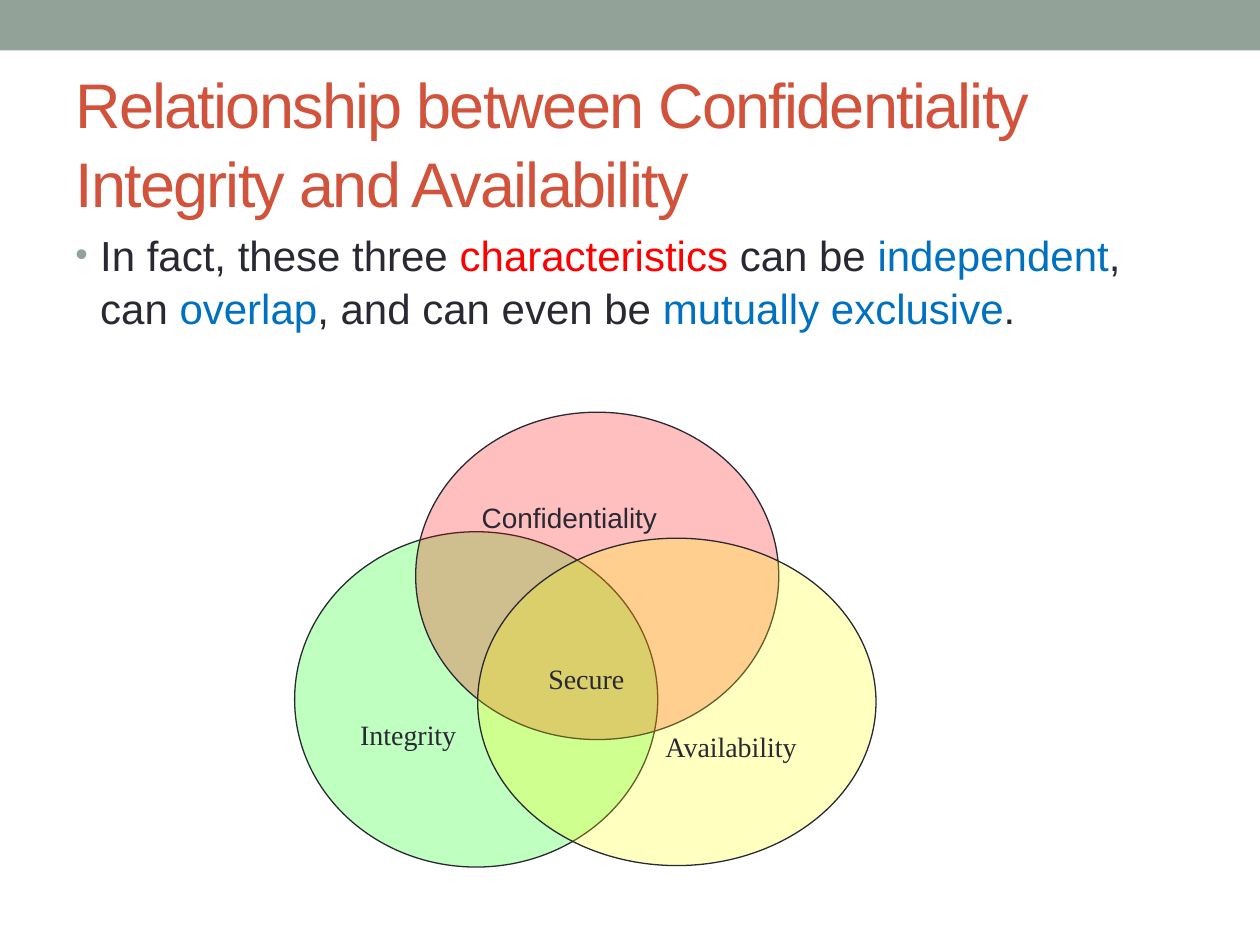
from dataclasses import dataclass

from lxml.etree import SubElement
from pptx import Presentation
from pptx.dml.color import RGBColor
from pptx.enum.shapes import MSO_SHAPE
from pptx.enum.text import MSO_ANCHOR, PP_ALIGN
from pptx.oxml.ns import qn
from pptx.util import Cm, Pt


@dataclass(frozen=True)
class Theme:
    ink: str = "292934"
    accent: str = "D2533C"
    band: str = "93A299"
    red: str = "FF0000"
    blue: str = "0070C0"
    sans: str = "Arial"
    serif: str = "Times New Roman"
    title_size: int = 36
    body_size: int = 24
    label_size: int = 16
    line_spacing: float = 1.05
    circle_opacity: int = 25


THEME = Theme()

TITLE = "Relationship between Confidentiality Integrity and Availability"
STATEMENT = [
    ("In fact, these three ", THEME.ink),
    ("characteristics", THEME.red),
    (" can be ", THEME.ink),
    ("independent", THEME.blue),
    (", can ", THEME.ink),
    ("overlap", THEME.blue),
    (", and can even be ", THEME.ink),
    ("mutually exclusive", THEME.blue),
    (".", THEME.ink),
]
# Left, top, width, height in cm, then colour; back to front
CIRCLES = [
    ((5.94, 10.72, 7.32, 6.76), "00FF00"),
    ((8.38, 8.31, 7.32, 6.6), "FF0000"),
    ((9.63, 10.85, 8.03, 6.6), "FFFF00"),
]
# Wording, centre x and y in cm, font
LABELS = [
    ("Integrity", 8.23, 14.8, THEME.serif),
    ("Confidentiality", 11.48, 10.43, THEME.sans),
    ("Secure", 11.82, 13.67, THEME.serif),
    ("Availability", 14.74, 15.05, THEME.serif),
]
LABEL_WIDTH, LABEL_HEIGHT = 4.5, 1


def rgb(value):
    return RGBColor.from_string(value)


def style(paragraph, font, size, color=THEME.ink):
    paragraph.font.name = font
    paragraph.font.size = Pt(size)
    paragraph.font.color.rgb = rgb(color)


def add_shape(slide, kind, box, color):
    shape = slide.shapes.add_shape(kind, *map(Cm, box))
    shape.shadow.inherit = False
    shape.fill.solid()
    shape.fill.fore_color.rgb = rgb(color)
    shape.line.fill.background()
    return shape


def add_text(slide, box, anchor=MSO_ANCHOR.TOP):
    """Add a wrapping text box and return its first paragraph."""
    frame = slide.shapes.add_textbox(*map(Cm, box)).text_frame
    frame.word_wrap = True
    frame.vertical_anchor = anchor
    return frame.paragraphs[0]


def add_title(slide):
    title = add_text(slide, (1.27, 1.47, 22.86, 2.74), MSO_ANCHOR.MIDDLE)
    title.line_spacing = THEME.line_spacing
    style(title, THEME.sans, THEME.title_size, THEME.accent)
    run = title.add_run()
    run.text = TITLE
    run._r.get_or_add_rPr().set("spc", "-100")


def add_bullet(paragraph, indent):
    properties = paragraph._p.get_or_add_pPr()
    properties.set("marL", str(Cm(indent)))
    properties.set("indent", str(-Cm(indent)))
    bullet_parts = [
        SubElement(properties, qn("a:buClr")),
        SubElement(properties, qn("a:buSzPct")),
        SubElement(properties, qn("a:buFont")),
        SubElement(properties, qn("a:buChar")),
    ]
    color, size, font, char = bullet_parts
    SubElement(color, qn("a:srgbClr")).set("val", THEME.band)
    size.set("val", "85000")
    font.set("typeface", THEME.sans)
    char.set("char", "•")
    # The schema wants the default run properties after the bullet
    for defaults in properties.findall(qn("a:defRPr")):
        properties.append(defaults)


def add_statement(slide):
    statement = add_text(slide, (1.27, 4.45, 22.45, 2.44))
    statement.line_spacing = THEME.line_spacing
    style(statement, THEME.sans, THEME.body_size)
    add_bullet(statement, 0.5)
    for words, color in STATEMENT:
        run = statement.add_run()
        run.text = words
        run.font.color.rgb = rgb(color)


def add_venn(slide):
    for box, color in CIRCLES:
        circle = add_shape(slide, MSO_SHAPE.OVAL, box, color)
        circle.line.color.rgb = rgb(THEME.ink)
        circle.line.width = Pt(0.75)
        fill_color = circle.fill._xPr.find(qn("a:solidFill"))[0]
        SubElement(fill_color, qn("a:alpha")).set("val", str(THEME.circle_opacity * 1000))
    for words, x, y, font in LABELS:
        box = (x - LABEL_WIDTH / 2, y - LABEL_HEIGHT / 2, LABEL_WIDTH, LABEL_HEIGHT)
        label = add_text(slide, box, MSO_ANCHOR.MIDDLE)
        label.alignment = PP_ALIGN.CENTER
        style(label, font, THEME.label_size)
        label.add_run().text = words


def main():
    deck = Presentation()
    deck.slide_width, deck.slide_height = Cm(25.4), Cm(19.05)
    slide = deck.slides.add_slide(deck.slide_layouts[6])
    add_shape(slide, MSO_SHAPE.RECTANGLE, (0, 0, 25.4, 1.02), THEME.band)
    add_title(slide)
    add_venn(slide)
    add_statement(slide)
    deck.save("out.pptx")


if __name__ == "__main__":
    main()
